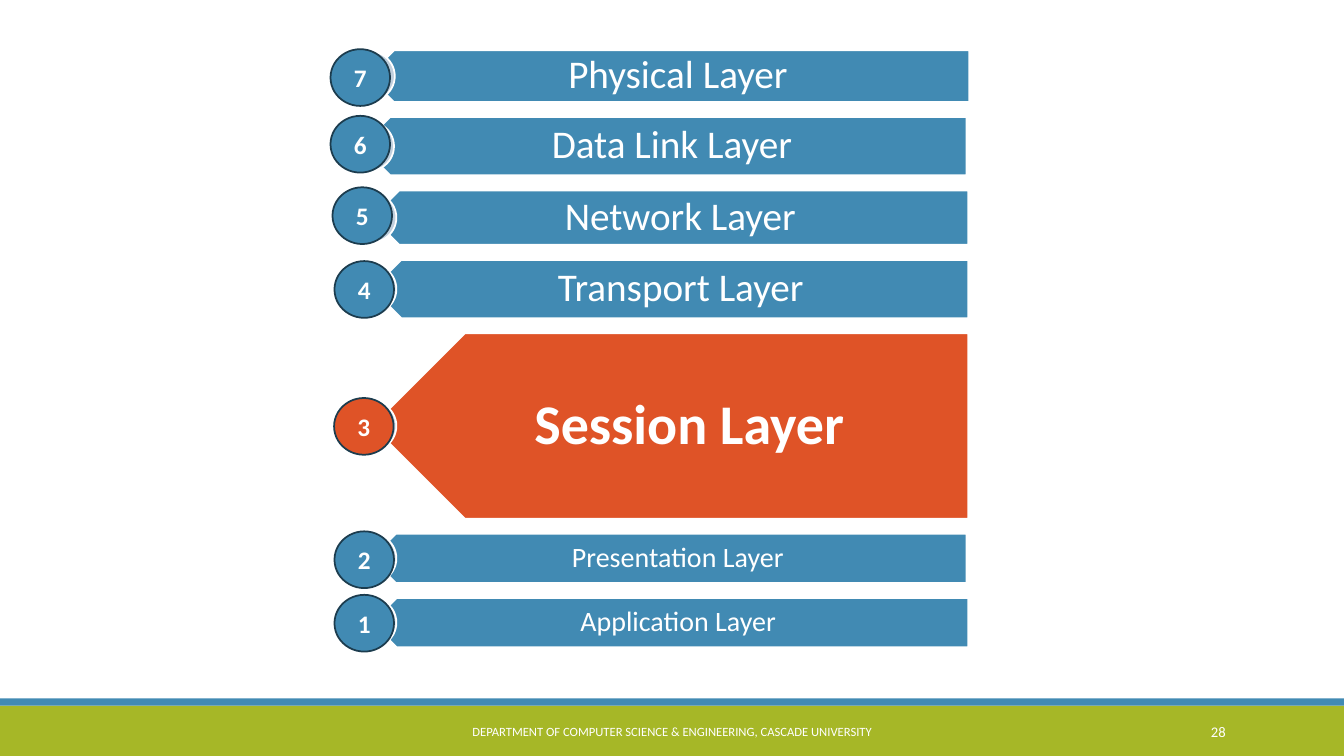
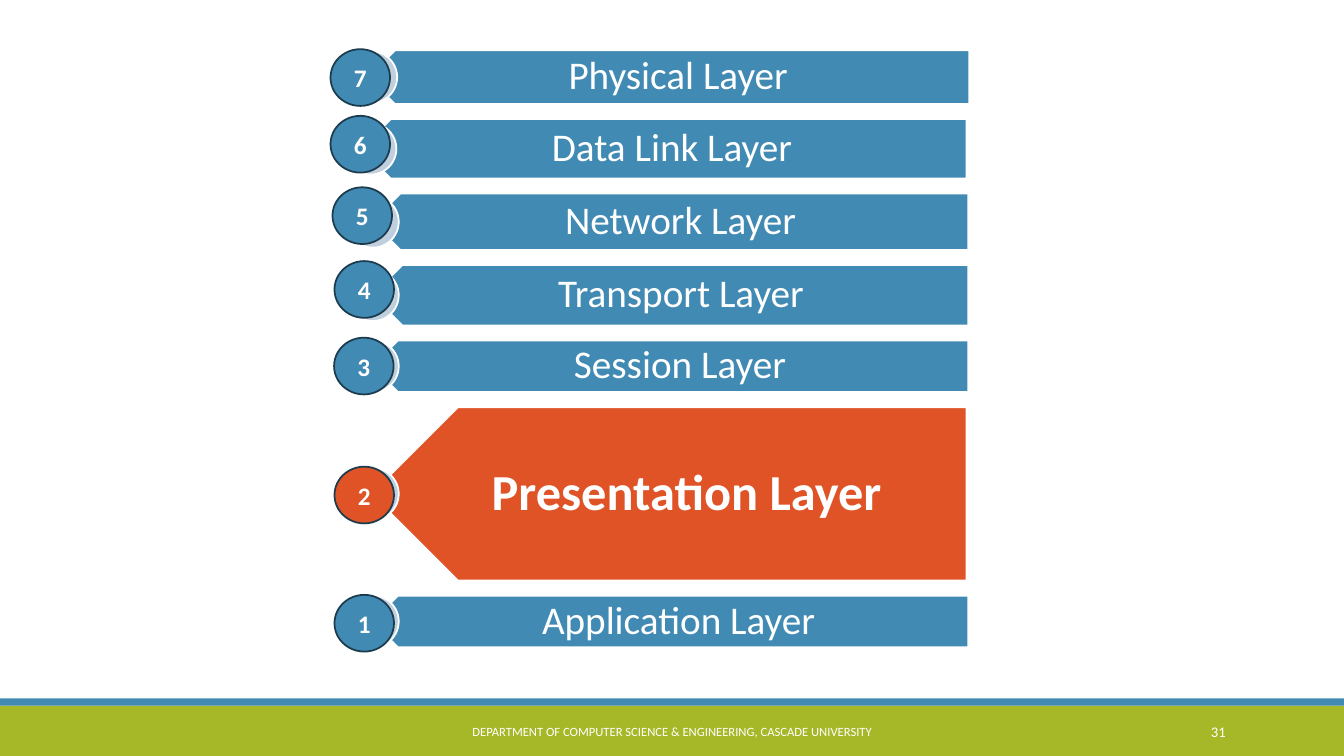
from pptx import Presentation
from pptx.dml.color import RGBColor
from pptx.enum.shapes import MSO_SHAPE
from pptx.enum.text import MSO_ANCHOR, PP_ALIGN
from pptx.util import Cm, Pt

RECT = MSO_SHAPE.RECTANGLE
PENTAGON = MSO_SHAPE.PENTAGON
OVAL = MSO_SHAPE.OVAL
CONNECTOR = MSO_SHAPE.FLOWCHART_CONNECTOR
CENTER, RIGHT = PP_ALIGN.CENTER, PP_ALIGN.RIGHT
MIDDLE = MSO_ANCHOR.MIDDLE

BLUE = RGBColor(0x41, 0x8A, 0xB3)
GREEN = RGBColor(0xA6, 0xB7, 0x27)
ORANGE = RGBColor(0xDF, 0x53, 0x27)
HALO = RGBColor(0xC0, 0xCF, 0xDD)
NAVY = RGBColor(0x1C, 0x3C, 0x4E)
WHITE = RGBColor(0xFF, 0xFF, 0xFF)

FONT = "Calibri"
FOOTER = "DEPARTMENT OF COMPUTER SCIENCE & ENGINEERING, CASCADE UNIVERSITY"
WIDTH, HEIGHT = 33.87, 19.05
STACK_TOP, GAP = 1.27, 0.38
BADGE_W, BADGE_H = 1.5, 1.43

# name, bar left, bar right, halo left, badge left, right inset
LAYERS = [
    ("Physical Layer", 9.28, 24.43, 8.71, 8.33, 0.46),
    ("Data Link Layer", 9.1, 24.36, 8.69, 8.33, 0.56),
    ("Network Layer", 9.38, 24.4, 8.75, 8.38, 0.43),
    ("Transport Layer", 9.38, 24.4, 8.75, 8.43, 0.43),
    ("Session Layer", 9.38, 24.4, 8.75, 8.42, 0.43),
    ("Presentation Layer", 9.36, 24.36, 8.75, 8.43, 0.46),
    ("Application Layer", 9.38, 24.4, 8.75, 8.43, 0.5),
]

# page, active layer, bar heights, text sizes, badge tops
SLIDES = [
    (28, "Session Layer",
     [1.3, 1.47, 1.37, 1.47, 4.67, 1.24, 1.24],
     [28, 28, 28, 28, 40, 20, 20],
     [1.24, 2.92, 4.72, 6.58, 10.03, 13.39, 14.99]),
    (31, "Presentation Layer",
     [1.35, 1.5, 1.42, 1.52, 1.3, 4.37, 1.3],
     [28, 28, 28, 28, 28, 36, 28],
     [1.24, 2.92, 4.72, 6.58, 8.51, 11.76, 14.99]),
]


class Deck:
    def __init__(self):
        self.prs = Presentation()
        self.prs.slide_width, self.prs.slide_height = Cm(WIDTH), Cm(HEIGHT)
        self.s = None

    def new_slide(self, page):
        self.s = self.prs.slides.add_slide(self.prs.slide_layouts[6])
        self.shape(RECT, 0, 17.78, WIDTH, 1.27, GREEN)
        self.shape(RECT, 0, 17.6, WIDTH, 0.18, BLUE)
        self.label(FOOTER, 10.24, 13.39, 9, CENTER)
        self.label(str(page), 27.51, 3.63, 10.5, RIGHT)

    def shape(self, kind, x, y, w, h, fill, line=None):
        sp = self.s.shapes.add_shape(kind, Cm(x), Cm(y), Cm(w), Cm(h))
        sp.shadow.inherit = False
        sp.fill.solid()
        sp.fill.fore_color.rgb = fill
        if line is None:
            sp.line.fill.background()
        else:
            sp.line.color.rgb = line
            sp.line.width = Pt(1.25)
        return sp

    def text(self, sp, text, size, align=CENTER, bold=False, left=0, right=0):
        tf = sp.text_frame
        tf.word_wrap = True
        tf.vertical_anchor = MIDDLE
        tf.margin_left, tf.margin_right = Cm(left), Cm(right)
        tf.margin_top = tf.margin_bottom = 0
        p = tf.paragraphs[0]
        p.alignment = align
        r = p.add_run()
        r.text = text
        r.font.name = FONT
        r.font.size = Pt(size)
        r.font.bold = bold
        r.font.color.rgb = WHITE
        return p

    def label(self, text, x, w, size, align):
        sp = self.s.shapes.add_textbox(Cm(x), Cm(17.93), Cm(w), Cm(1.02))
        self.text(sp, text, size, align, left=0.25, right=0.25)

    def bar(self, text, x, y, w, h, size, active, right):
        sp = self.shape(PENTAGON, x, y, w, h, ORANGE if active else BLUE, WHITE)
        sp.element.spPr.get_or_add_xfrm().set("flipH", "1")
        p = self.text(sp, text, size, bold=active, left=0.6,
                      right=0.8 if active else right)
        p.line_spacing = 0.9

    def badge(self, number, x, y, active):
        sp = self.shape(CONNECTOR, x, y, BADGE_W, BADGE_H,
                        ORANGE if active else BLUE, NAVY)
        self.text(sp, str(number), 18, bold=True)

    def layer_stack(self, active, heights, sizes, badge_tops):
        halo = min(heights)
        y = STACK_TOP
        rows = zip(LAYERS, heights, sizes, badge_tops)
        for i, (layer, h, size, badge_top) in enumerate(rows):
            name, left, end, halo_left, badge_left, inset = layer
            is_active = name == active
            self.bar(name, left, y, end - left, h, size, is_active, inset)
            self.shape(OVAL, halo_left, y + (h - halo) / 2, halo, halo, HALO, WHITE)
            self.badge(len(LAYERS) - i, badge_left, badge_top, is_active)
            y += h + GAP


def main():
    deck = Deck()
    for page, *stack in SLIDES:
        deck.new_slide(page)
        deck.layer_stack(*stack)
    deck.prs.save("out.pptx")


if __name__ == "__main__":
    main()
